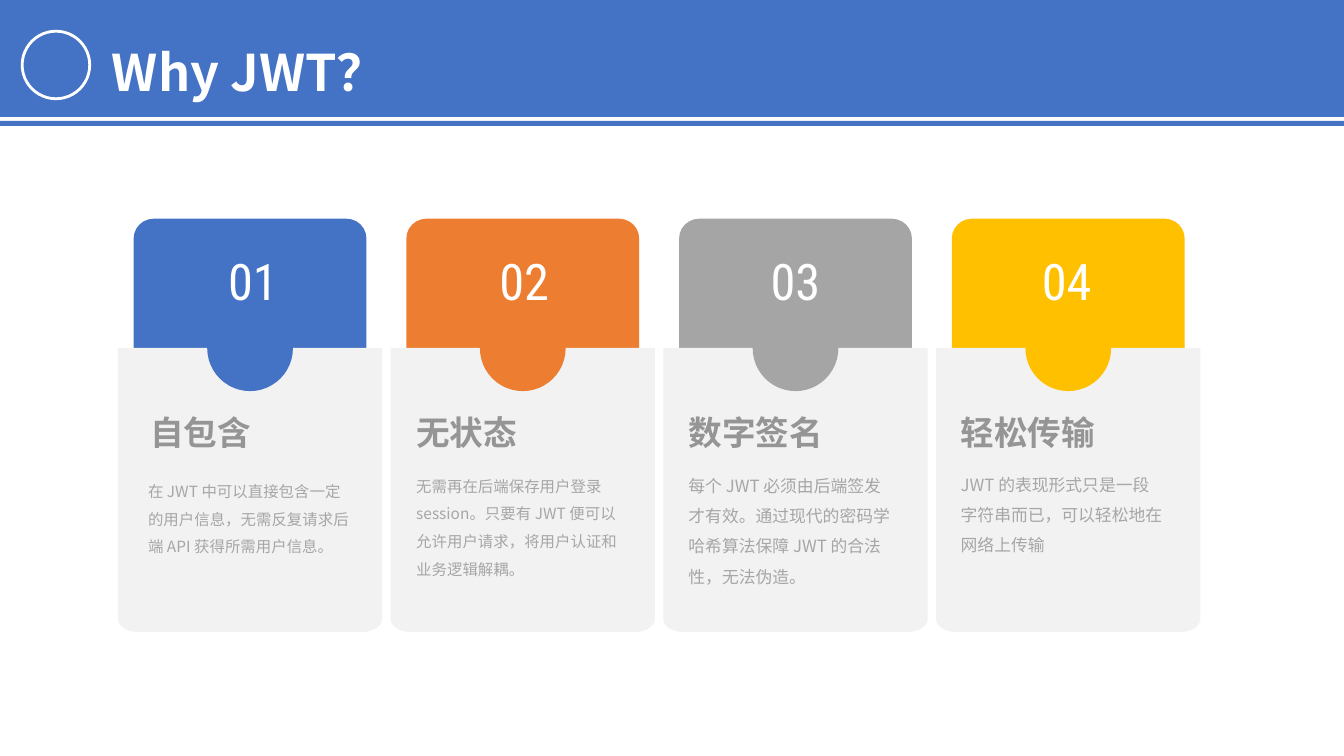
import math
from dataclasses import dataclass

from pptx import Presentation
from pptx.dml.color import RGBColor
from pptx.enum.shapes import MSO_SHAPE
from pptx.enum.text import MSO_ANCHOR, PP_ALIGN
from pptx.oxml.ns import qn
from pptx.util import Inches, Pt

RECT, ROUNDED, OVAL = MSO_SHAPE.RECTANGLE, MSO_SHAPE.ROUNDED_RECTANGLE, MSO_SHAPE.OVAL
LEFT, CENTER = PP_ALIGN.LEFT, PP_ALIGN.CENTER
TOP, MIDDLE = MSO_ANCHOR.TOP, MSO_ANCHOR.MIDDLE

# Content
TITLE = "Why JWT？"
# number, colour, heading, heading left, body, body left, body top, body size
CARDS = [
    ("01", "4472C4", "自包含", 1.39,
     "在 JWT 中可以直接包含一定的用户信息，无需反复请求后端 API 获得所需用户信息。",
     1.37, 4.64, 11),
    ("02", "ED7D31", "无状态", 4.03,
     "无需再在后端保存用户登录 session。只要有 JWT 便可以允许用户请求，将用户认证和业务逻辑解耦。",
     4.03, 4.59, 11),
    ("03", "A5A5A5", "数字签名", 6.73,
     "每个 JWT 必须由后端签发才有效。通过现代的密码学哈希算法保障 JWT 的合法性，无法伪造。",
     6.73, 4.57, 12),
    ("04", "FFC000", "轻松传输", 9.43,
     "JWT 的表现形式只是一段字符串而已，可以轻松地在网络上传输",
     9.43, 4.56, 12),
]


@dataclass(frozen=True)
class Theme:
    font: str = "Noto Sans CJK SC"
    number_font: str = "Roboto Condensed"
    blue: str = "4472C4"
    white: str = "FFFFFF"
    panel: str = "F2F2F2"
    heading: str = "959595"
    body: str = "A6A6A6"
    title_size: int = 36
    number_size: int = 36
    heading_size: int = 24


THEME = Theme()

# Layout in inches
SLIDE_W, SLIDE_H = 13.33, 7.5
CARD_LEFT, CARD_STEP = 1.17, 2.705
PANEL_TOP, PANEL_W, PANEL_H = 3.45, 2.62, 2.82
CORNER_W, CORNER_H = 0.2, 0.13
TAB_W, KNOB = 2.31, 0.85
NUMBER_CENTER, NUMBER_STEP, NUMBER_W = 2.51, 2.69, 1.27


def box(*lengths):
    return [Inches(n) for n in lengths]


def paint(s, color):
    s.shadow.inherit = False
    s.fill.solid()
    s.fill.fore_color.rgb = RGBColor.from_string(color)
    s.line.fill.background()


def add_block(slide, kind, place, color):
    s = slide.shapes.add_shape(kind, *box(*place))
    paint(s, color)
    return s


def write(s, text, size, color, font=THEME.font, bold=False,
          align=LEFT, anchor=TOP, spacing=1.0):
    tf = s.text_frame
    tf.word_wrap = True
    tf.vertical_anchor = anchor
    tf.text = text
    p = tf.paragraphs[0]
    p.alignment = align
    p.line_spacing = spacing
    r = p.runs[0]
    r.font.size = Pt(size)
    r.font.bold = bold
    r.font.name = font
    r.font.color.rgb = RGBColor.from_string(color)
    east_asian = r.font._element.makeelement(qn("a:ea"), {"typeface": font})
    r.font._element.find(qn("a:latin")).addnext(east_asian)


def add_text(slide, place, *args, **kwargs):
    s = slide.shapes.add_textbox(*box(*place))
    write(s, *args, **kwargs)
    return s


def add_panel(slide, left):
    """Square top corners and elliptical bottom corners."""
    right, bottom = left + PANEL_W, PANEL_TOP + PANEL_H
    points = [(right, PANEL_TOP)]
    for center, start in ((right - CORNER_W, 0), (left + CORNER_W, 90)):
        for degrees in range(start, start + 91, 6):
            angle = math.radians(degrees)
            points.append((center + CORNER_W * math.cos(angle),
                           bottom - CORNER_H + CORNER_H * math.sin(angle)))
    builder = slide.shapes.build_freeform(*box(left, PANEL_TOP), scale=1.0)
    builder.add_line_segments([box(*point) for point in points], close=True)
    paint(builder.convert_to_shape(), THEME.panel)


def add_header(slide):
    for top, height in ((0, 1.16), (1.2, 0.05)):
        add_block(slide, RECT, (0, top, SLIDE_W, height), THEME.blue)
    ring = add_block(slide, OVAL, (0.22, 0.31, 0.67, 0.67), THEME.blue)
    ring.line.color.rgb = RGBColor.from_string(THEME.white)
    ring.line.width = Pt(2)

    # Title sits in front of the header bar
    title = slide.shapes.title
    title.left, title.top, title.width, title.height = box(1.01, 0.06, 6.24, 0.92)
    write(title, TITLE, THEME.title_size, THEME.white, bold=True, spacing=1.5)
    title._element.getparent().append(title._element)


def add_card(slide, index, card):
    number, color, heading, heading_left, body, body_left, body_top, body_size = card
    left = CARD_LEFT + index * CARD_STEP
    center = left + PANEL_W / 2

    # Coloured tab, panel and knob
    tab = add_block(slide, ROUNDED, (center - TAB_W / 2, 2.17, TAB_W, 2.13), color)
    tab.adjustments[0] = 0.093
    add_panel(slide, left)
    add_block(slide, OVAL, (center - KNOB / 2, 3.03, KNOB, KNOB), color)

    # Number, heading and body
    number_left = NUMBER_CENTER + index * NUMBER_STEP - NUMBER_W / 2
    add_text(slide, (number_left, 2.43, NUMBER_W, 0.88), number, THEME.number_size,
             THEME.white, font=THEME.number_font, align=CENTER)
    add_text(slide, (heading_left, 4, 2.33, 0.58), heading, THEME.heading_size,
             THEME.heading, bold=True, anchor=MIDDLE)
    add_text(slide, (body_left, body_top, 2.21, 0.87), body, body_size,
             THEME.body, spacing=1.5)


def main():
    prs = Presentation()
    prs.slide_width, prs.slide_height = box(SLIDE_W, SLIDE_H)
    slide = prs.slides.add_slide(prs.slide_layouts[5])
    add_header(slide)
    for index, card in enumerate(CARDS):
        add_card(slide, index, card)
    prs.save("out.pptx")


if __name__ == "__main__":
    main()
